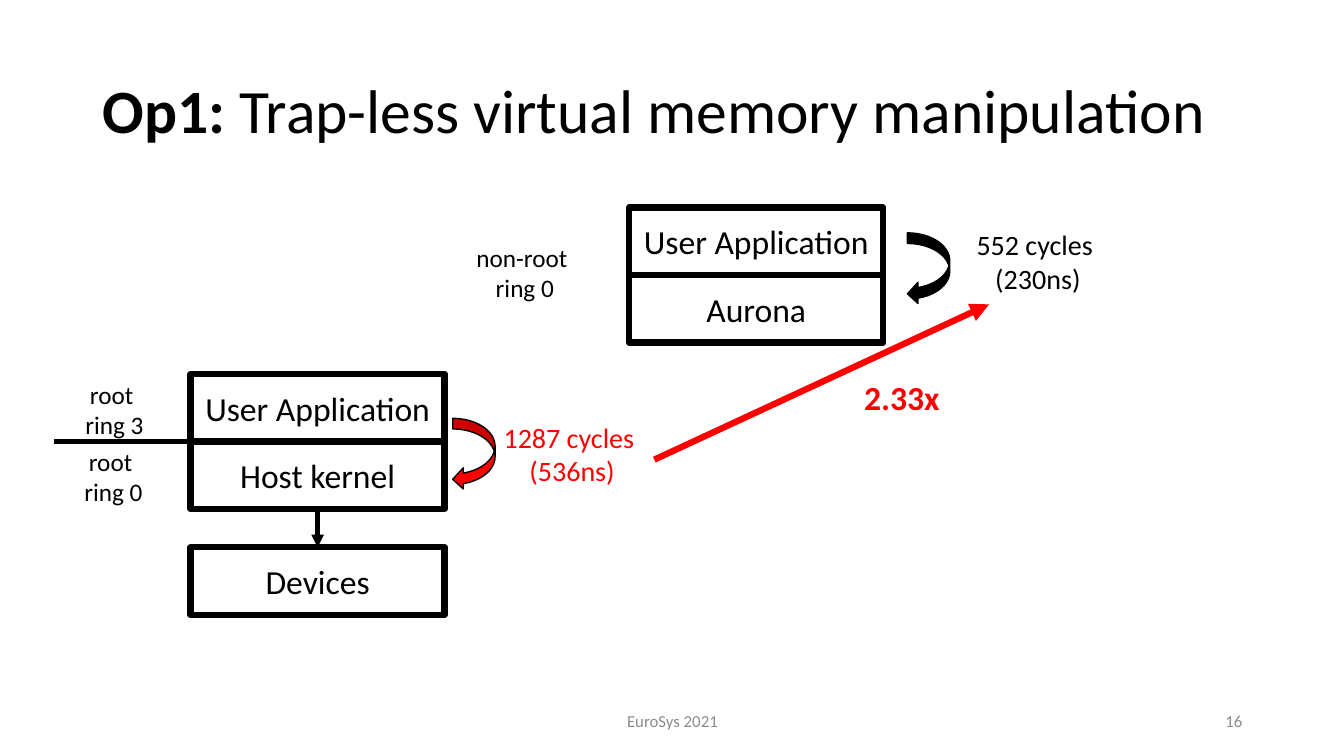
from lxml.etree import SubElement
from pptx import Presentation
from pptx.dml.color import RGBColor
from pptx.enum.shapes import MSO_CONNECTOR, MSO_SHAPE
from pptx.enum.text import MSO_ANCHOR, PP_ALIGN
from pptx.oxml.ns import qn
from pptx.util import Emu, Pt

PX = 9144  # EMU; 100 px to the inch
FONT = "Calibri"
BLACK, WHITE, RED, GRAY = "000000", "FFFFFF", "FF0000", "8C8C8C"
LAYER_WIDTH, LAYER_HEIGHT = 252, 67


def px(*lengths):
    return [Emu(length * PX) for length in lengths]


def color(hex_string):
    return RGBColor.from_string(hex_string)


class Diagram:
    def __init__(self, page):
        self.page = page

    def set_lines(self, frame, lines, size, ink, bold=None, align=PP_ALIGN.CENTER):
        for index, line in enumerate(lines):
            para = frame.paragraphs[0] if index == 0 else frame.add_paragraph()
            para.alignment = align
            para.font.name = FONT
            para.font.size = Pt(size)
            para.font.bold = bold
            para.font.color.rgb = color(ink)
            para.add_run().text = line

    def text(self, bounds, lines, size, ink=BLACK, bold=None,
             align=PP_ALIGN.CENTER, anchor=MSO_ANCHOR.TOP, wrap=True):
        box = self.page.shapes.add_textbox(*px(*bounds))
        frame = box.text_frame
        frame.word_wrap = wrap
        frame.vertical_anchor = anchor
        self.set_lines(frame, lines, size, ink, bold, align)
        return frame

    def title(self, bounds, lead, rest):
        frame = self.text(bounds, [lead], 44, align=PP_ALIGN.LEFT,
                          anchor=MSO_ANCHOR.MIDDLE)
        para = frame.paragraphs[0]
        para.line_spacing = 0.9
        para.runs[0].font.bold = True
        para.add_run().text = rest

    def shape(self, kind, bounds, fill, line_width):
        shape = self.page.shapes.add_shape(kind, *px(*bounds))
        shape.shadow.inherit = False
        shape.fill.solid()
        shape.fill.fore_color.rgb = color(fill)
        shape.line.color.rgb = color(BLACK)
        shape.line.width = Pt(line_width)
        return shape

    def layer(self, left, top, label):
        bounds = (left, top, LAYER_WIDTH, LAYER_HEIGHT)
        frame = self.shape(MSO_SHAPE.RECTANGLE, bounds, WHITE, 4.5).text_frame
        frame.word_wrap = True
        frame.vertical_anchor = MSO_ANCHOR.MIDDLE
        self.set_lines(frame, [label], 24, BLACK)

    def switch_arrow(self, left, top, fill):
        """Curved arrow for the crossing between two layers."""
        self.shape(MSO_SHAPE.CURVED_LEFT_ARROW, (left, top, 42, 71), fill, 1)

    def line(self, start, end, ink, width, arrow=False):
        connector = self.page.shapes.add_connector(
            MSO_CONNECTOR.STRAIGHT, *px(*start, *end))
        connector.line.color.rgb = color(ink)
        connector.line.width = Pt(width)
        properties = connector.element.spPr
        if arrow:
            SubElement(properties.find(qn("a:ln")), qn("a:tailEnd"), type="triangle")
        SubElement(properties, qn("a:effectLst"))


def main():
    deck = Presentation()
    deck.slide_width, deck.slide_height = px(1333, 750)
    diagram = Diagram(deck.slides.add_slide(deck.slide_layouts[6]))

    diagram.title((92, 40, 1150, 145), "Op1: ",
                  "Trap-less virtual memory manipulation")

    host_left, host_top = 189, 371
    guest_left, guest_top = 624, 206
    boundary = host_top + LAYER_HEIGHT
    host_bottom = boundary + LAYER_HEIGHT
    devices_top = 543
    center = host_left + LAYER_WIDTH // 2

    for left, top, label in (
        (host_left, boundary, "Host kernel"),
        (host_left, devices_top, "Devices"),
        (guest_left, guest_top, "User Application"),
        (guest_left, guest_top + LAYER_HEIGHT, "Aurona"),
        (host_left, host_top, "User Application"),
    ):
        diagram.layer(left, top, label)

    for bounds, mode, ring in (
        ((73, boundary, 79, 71), "root ", "ring 0"),
        ((74, host_top, 79, 71), "root ", "ring 3"),
        ((462, 235, 117, 71), "non-root ", "ring 0"),
    ):
        diagram.text(bounds, [mode, ring], 18, wrap=False)

    diagram.line((center, host_bottom), (center, devices_top), BLACK, 3, arrow=True)
    diagram.line((center, boundary), (54, boundary), BLACK, 3)
    diagram.switch_arrow(900, 231, BLACK)
    diagram.switch_arrow(449, 415, RED)

    diagram.text((958, 221, 143, 77), ["552 cycles ", "(230ns)"], 20, wrap=False)
    diagram.text((416, 412, 303, 77), ["1287 cycles ", "(536ns)"], 20, RED)
    diagram.line((649, 456), (981, 302), RED, 4.5, arrow=True)
    diagram.text((828, 369, 133, 50), ["2.33x"], 24, RED, bold=True)

    diagram.text((442, 695, 450, 40), ["EuroSys 2021"], 12, GRAY,
                 anchor=MSO_ANCHOR.MIDDLE)
    diagram.text((942, 695, 300, 40), ["16"], 12, GRAY,
                 align=PP_ALIGN.RIGHT, anchor=MSO_ANCHOR.MIDDLE)

    deck.save("out.pptx")


if __name__ == "__main__":
    main()
